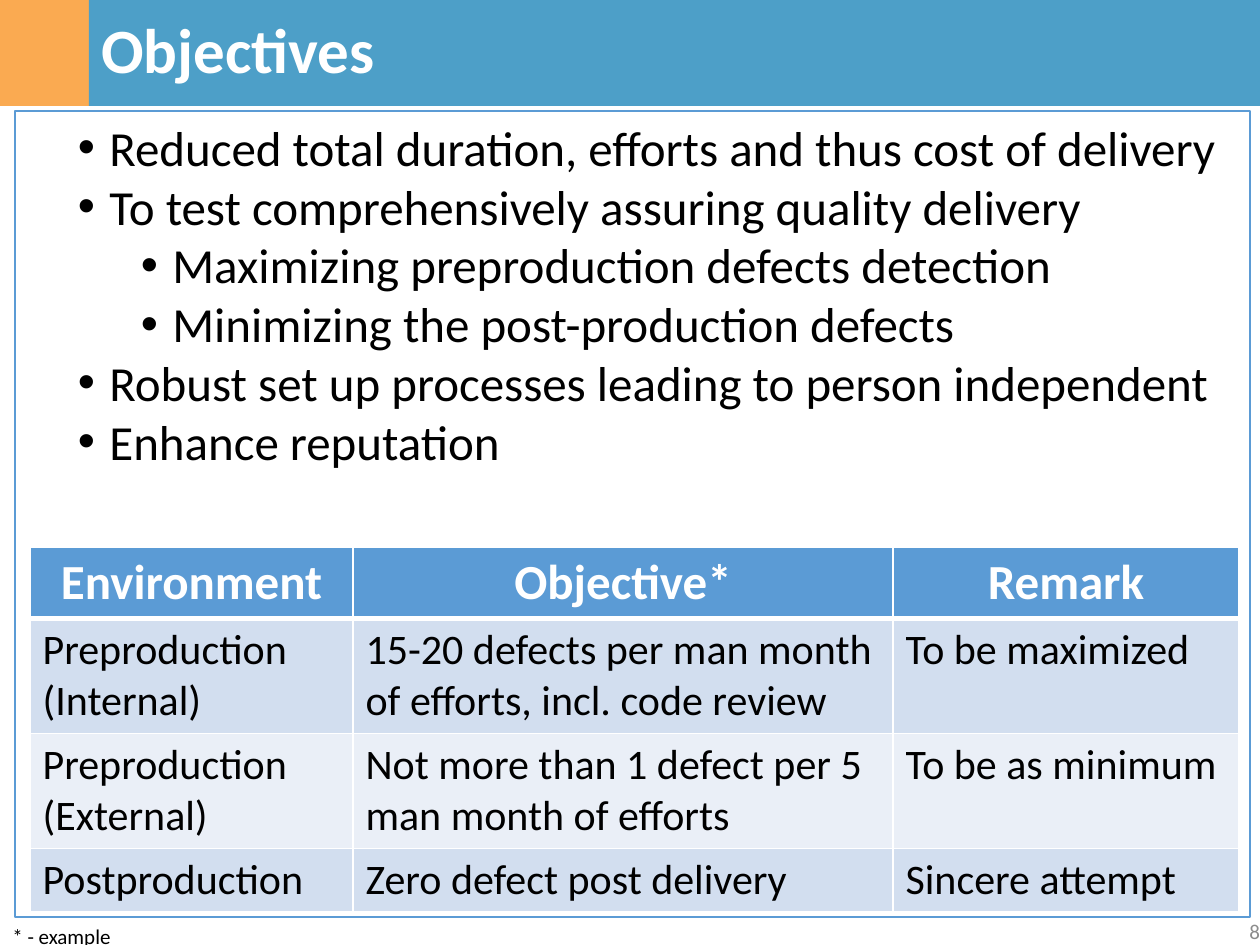
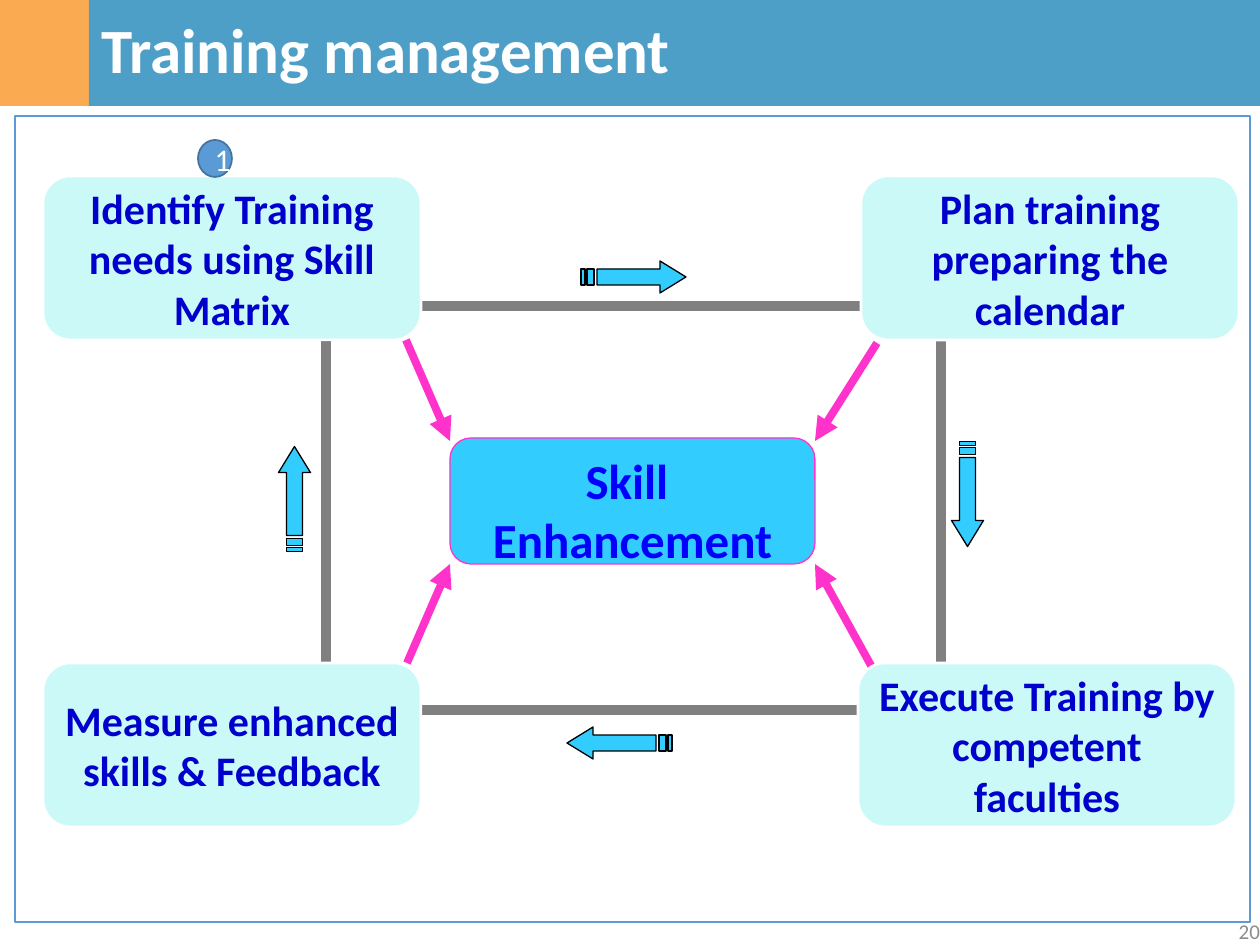
from pptx import Presentation
from pptx.dml.color import RGBColor
from pptx.enum.shapes import MSO_CONNECTOR, MSO_SHAPE
from pptx.enum.text import MSO_ANCHOR, PP_ALIGN
from pptx.oxml.ns import qn
from pptx.util import Emu, Pt
from lxml.etree import SubElement

SCALE = 914400 / 126
FONT = "Calibri"
WHITE = RGBColor(0xFF, 0xFF, 0xFF)
BLACK = RGBColor(0, 0, 0)
GRAY = RGBColor(0x80, 0x80, 0x80)
SILVER = RGBColor(0x8C, 0x8C, 0x8C)
ORANGE = RGBColor(0xF8, 0x86, 0x08)
TEAL = RGBColor(0x4D, 0x9F, 0xC8)
BLUE = RGBColor(0x5B, 0x9B, 0xD5)
STEEL = RGBColor(0x43, 0x73, 0x9E)
LIGHT = RGBColor(0xD2, 0xDE, 0xEF)
PALE = RGBColor(0xEA, 0xEF, 0xF7)
CYAN = RGBColor(0x33, 0xCC, 0xFF)
MINT = RGBColor(0xCB, 0xF9, 0xF8)
PINK = RGBColor(0xFF, 0x33, 0xCC)
NAVY = RGBColor(0, 0, 0xCC)
ROYAL = RGBColor(0, 0, 0xFF)


def px(num):
    return Emu(round(num * SCALE))


def apply(item, values):
    for key, value in values.items():
        setattr(item, key, value)


class Deck:
    def __init__(self):
        self.deck = Presentation()
        apply(self.deck, {"slide_width": px(1260), "slide_height": px(945)})
        self.slide = None

    def page(self, title, number, top):
        self.slide = self.deck.slides.add_slide(self.deck.slide_layouts[6])
        self.box((-1, 0, 90, 106), ORANGE, alpha=70)
        band = self.box((89, 0, 1171, 106), TEAL)
        self.text(band, [title], 36, WHITE, bold=True,
                  para={"line_spacing": 0.9, "alignment": PP_ALIGN.LEFT})
        frame = self.box((15, top, 1235, 806), WHITE, BLUE, 1, alpha=90)
        self.label((1196, 919, 64, 25), str(number), SILVER,
                   {"alignment": PP_ALIGN.RIGHT},
                   {"margin_left": 0, "margin_right": 0, "margin_top": 0,
                    "margin_bottom": 0, "vertical_anchor": MSO_ANCHOR.MIDDLE})
        return frame

    def paint(self, shape, fill, line=None, width=1, alpha=None):
        shape.shadow.inherit = False
        shape.fill.solid()
        shape.fill.fore_color.rgb = fill
        if alpha:
            tint = shape._element.spPr.find(qn("a:solidFill")).find(qn("a:srgbClr"))
            SubElement(tint, qn("a:alpha"), val=str(alpha * 1000))
        if line is None:
            shape.line.fill.background()
        else:
            shape.line.color.rgb = line
            shape.line.width = Pt(width)
        return shape

    def box(self, area, fill, line=None, width=1, kind=MSO_SHAPE.RECTANGLE, alpha=None):
        shape = self.slide.shapes.add_shape(kind, *map(px, area))
        return self.paint(shape, fill, line, width, alpha)

    def text(self, shape, lines, size, ink, bold=False, para=None, frame=None):
        body = shape.text_frame
        apply(body, {"word_wrap": True, **(frame or {})})
        for index, line in enumerate(lines):
            part = body.paragraphs[0] if index == 0 else body.add_paragraph()
            part.text = line
            apply(part, {"alignment": PP_ALIGN.CENTER, **(para or {})})
            apply(part.runs[0].font, {"name": FONT, "size": Pt(size), "bold": bold})
            part.runs[0].font.color.rgb = ink

    def label(self, area, words, ink, para=None, frame=None):
        shape = self.slide.shapes.add_textbox(*map(px, area))
        self.text(shape, [words], 12, ink,
                  para=para or {"alignment": PP_ALIGN.LEFT}, frame=frame)

    def bullets(self, shape, items):
        self.text(shape, [words for words, level in items], 28, BLACK,
                  para={"alignment": PP_ALIGN.JUSTIFY},
                  frame={"margin_left": px(63), "margin_bottom": 0,
                         "vertical_anchor": MSO_ANCHOR.TOP})
        for part, (words, level) in zip(shape.text_frame.paragraphs, items):
            part.level = level
            props = part._p.get_or_add_pPr()
            props.set("marL", str(px(63 * level - 31.5)))
            props.set("indent", str(px(-31.5)))
            SubElement(props, qn("a:buFont"), typeface="Arial")
            SubElement(props, qn("a:buChar"), char="•")

    def border(self, cell, row):
        props = cell._tc.get_or_add_tcPr()
        thick = {0: "B", 1: "T"}.get(row)
        for side in "LRTB":
            width = Pt(3 if side == thick else 1)
            line = SubElement(props, qn("a:ln" + side), w=str(width))
            fill = SubElement(line, qn("a:solidFill"))
            SubElement(fill, qn("a:srgbClr"), val=str(WHITE))

    def table(self, area, widths, heights, rows):
        grid = self.slide.shapes.add_table(len(rows), len(widths), *map(px, area)).table
        for col, width in zip(grid.columns, widths):
            col.width = px(width)
        for row, height in zip(grid.rows, heights):
            row.height = px(height)
        for i, row in enumerate(rows):
            head = i == 0
            fill = BLUE if head else LIGHT if i % 2 else PALE
            side = PP_ALIGN.CENTER if head else PP_ALIGN.LEFT
            for j, words in enumerate(row):
                cell = grid.cell(i, j)
                self.border(cell, i)
                cell.fill.solid()
                cell.fill.fore_color.rgb = fill
                self.text(cell, [words], 28 if head else 24, WHITE if head else BLACK,
                          head, {"alignment": side})

    def pointer(self, start, end):
        line = self.slide.shapes.add_connector(
            MSO_CONNECTOR.STRAIGHT, *map(px, start + end))
        line.line.color.rgb = PINK
        line.line.width = Pt(4.5)
        props = line._element.spPr
        SubElement(props.find(qn("a:ln")), qn("a:tailEnd"), type="triangle")
        SubElement(props, qn("a:effectLst"))

    def arrow(self, left, top, turn):
        head = [(79, 0), (79, 8), (16, 8), (16, 24), (79, 24), (79, 32), (105, 16)]
        bars = [[(a, 8), (b, 8), (b, 24), (a, 24)] for a, b in ((6, 13), (0, 4))]
        pen = self.slide.shapes.build_freeform(*head[0], scale=SCALE)
        pen.add_line_segments(head[1:])
        for bar in bars:
            pen.move_to(*bar[0])
            pen.add_line_segments(bar[1:])
        shape = self.paint(pen.convert_to_shape(px(left), px(top)), CYAN, BLACK, 0.75)
        shape.rotation = turn


def goals(deck):
    frame = deck.page("Objectives", 8, 111)
    deck.bullets(frame, [
        ("Reduced total duration, efforts and thus cost of delivery", 1),
        ("To test comprehensively assuring quality delivery", 1),
        ("Maximizing preproduction defects detection", 2),
        ("Minimizing the post-production defects", 2),
        ("Robust set up processes leading to person independent", 1),
        ("Enhance reputation", 1),
    ])
    deck.table((30, 547, 1209, 364), (323, 540, 346), (71, 115, 115, 63), [
        ("Environment", "Objective*", "Remark"),
        ("Preproduction (Internal)",
         "15-20 defects per man month of efforts, incl. code review", "To be maximized"),
        ("Preproduction (External)",
         "Not more than 1 defect per 5 man month of efforts", "To be as minimum"),
        ("Postproduction", "Zero defect post delivery", "Sincere attempt"),
    ])
    deck.label((0, 917, 277, 38), "* - example", BLACK)


def training(deck):
    deck.page("Training management", 20, 116)
    deck.box((326, 306, 615, 404), WHITE, GRAY, 6)
    core = deck.box((450, 438, 365, 126), CYAN, PINK, 0.75,
                    MSO_SHAPE.FLOWCHART_ALTERNATE_PROCESS)
    deck.text(core, ["Skill ", "Enhancement"], 28, ROYAL, True,
              frame={"vertical_anchor": MSO_ANCHOR.TOP})
    for spot in ((581, 261, 0), (915, 478, 90), (567, 727, 180), (242, 483, 270)):
        deck.arrow(*spot)
    for start, end in (
        ((406, 340), (450, 441)),
        ((407, 663), (450, 564)),
        ((873, 669), (815, 564)),
        ((877, 343), (815, 441)),
    ):
        deck.pointer(start, end)
    for left, top, lines in (
        (43, 176, ["Identify Training needs using Skill Matrix"]),
        (861, 176, ["Plan training preparing the", "calendar"]),
        (858, 663, ["Execute Training by competent faculties"]),
        (43, 663, ["Measure enhanced skills & Feedback"]),
    ):
        step = deck.box((left, top, 378, 164), MINT, WHITE, 1.5,
                        MSO_SHAPE.ROUNDED_RECTANGLE)
        deck.text(step, lines, 24, NAVY, True)
    badge = deck.box((198, 140, 34, 37), BLUE, STEEL, 1, MSO_SHAPE.OVAL)
    deck.text(badge, ["1"], 18, WHITE)


def main():
    show = Deck()
    goals(show)
    training(show)
    show.deck.save("out.pptx")


if __name__ == "__main__":
    main()
